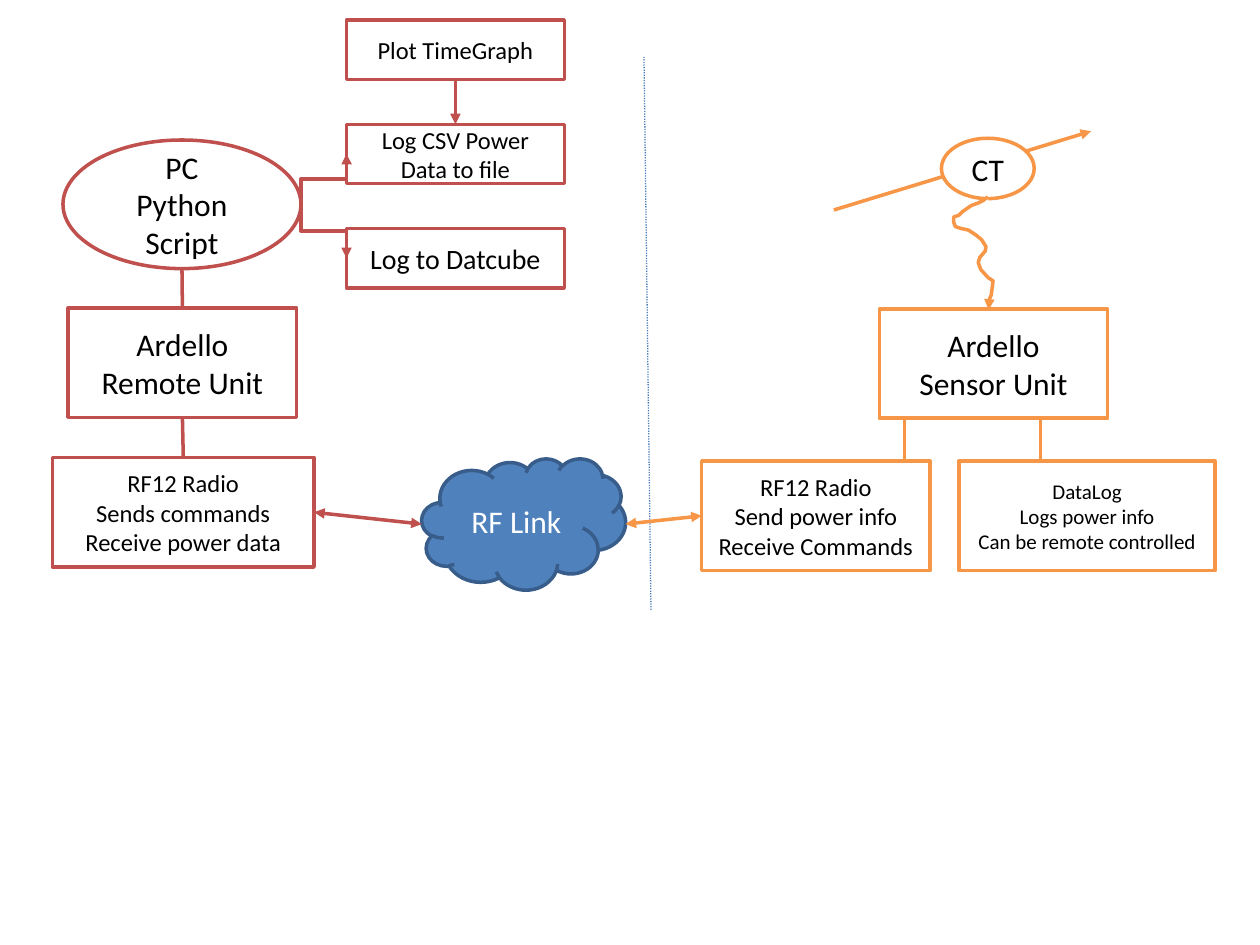
from dataclasses import dataclass

from pptx import Presentation
from pptx.dml.color import RGBColor
from pptx.enum.dml import MSO_LINE
from pptx.enum.shapes import MSO_CONNECTOR, MSO_SHAPE
from pptx.enum.text import MSO_ANCHOR, PP_ALIGN
from pptx.oxml.ns import qn
from pptx.util import Pt
from lxml.etree import SubElement


@dataclass(frozen=True)
class Theme:
    font: str = "Calibri"
    big: float = 18
    mid: float = 16
    small: float = 14
    tiny: float = 12
    weight: float = 2
    thin: float = 0.75
    red: str = "C0504D"
    orange: str = "F79646"
    blue: str = "4F81BD"
    navy: str = "385D8A"
    split: str = "4A7EBB"
    white: str = "FFFFFF"
    black: str = "000000"


def spot(shape, across, down):
    """Point on a shape, as fractions of its width and height."""
    return (int(shape.left + shape.width * across),
            int(shape.top + shape.height * down))


def top(shape):
    return spot(shape, 0.5, 0)


def base(shape):
    return spot(shape, 0.5, 1)


def left(shape):
    return spot(shape, 0, 0.5)


def right(shape):
    return spot(shape, 1, 0.5)


class Board:
    def __init__(self, slide, theme):
        self.slide = slide
        self.theme = theme

    def stroke(self, item, color, weight=None, ends=()):
        """Colour an outline; ends names the XML arrow ends to add."""
        item.line.color.rgb = RGBColor.from_string(color)
        item.line.width = Pt(weight or self.theme.weight)
        for end in ends:
            SubElement(item.line._get_or_add_ln(), qn(f"a:{end}"), type="triangle")

    def paint(self, shape, color):
        shape.shadow.inherit = False
        shape.fill.solid()
        shape.fill.fore_color.rgb = RGBColor.from_string(color)

    def node(self, text, place, size, edge, kind=MSO_SHAPE.RECTANGLE,
             fill=None, ink=None):
        theme = self.theme
        shape = self.slide.shapes.add_shape(kind, *map(Pt, place))
        self.paint(shape, fill or theme.white)
        self.stroke(shape, edge)
        frame = shape.text_frame
        frame.word_wrap = True
        frame.vertical_anchor = MSO_ANCHOR.MIDDLE
        frame.text = text
        for para in frame.paragraphs:
            para.alignment = PP_ALIGN.CENTER
            for run in para.runs:
                run.font.name = theme.font
                run.font.size = Pt(size)
                run.font.color.rgb = RGBColor.from_string(ink or theme.black)
        return shape

    def link(self, start, end, color, ends=(), kind=MSO_CONNECTOR.STRAIGHT,
             weight=None):
        line = self.slide.shapes.add_connector(kind, *start, *end)
        self.stroke(line, color, weight, ends)
        SubElement(line._element.spPr, qn("a:effectLst"))
        return line

    def elbow(self, start, end, color):
        return self.link(start, end, color, kind=MSO_CONNECTOR.ELBOW)

    def riser(self, start, end, color):
        """Elbow arrow that leaves vertically: drawn flat, then turned 90 degrees."""
        (x1, y1), (x2, y2) = start, end
        midx, midy = (x1 + x2) // 2, (y1 + y2) // 2
        dx, dy = (x2 - x1) // 2, (y2 - y1) // 2
        line = self.link((midx - dy, midy + dx), (midx + dy, midy - dx), color,
                         ["tailEnd"], MSO_CONNECTOR.ELBOW)
        line._element.spPr.find(qn("a:xfrm")).set("rot", "5400000")

    def wire(self, points, color):
        first, *rest = [(Pt(x), Pt(y)) for x, y in points]
        build = self.slide.shapes.build_freeform(*first)
        build.add_line_segments(rest, close=False)
        shape = build.convert_to_shape()
        self.paint(shape, self.theme.white)
        self.stroke(shape, color, ends=["tailEnd"])


def remote(board):
    """Draw the computer side and return its radio."""
    theme = board.theme
    red = theme.red
    script = board.node("PC\nPython Script", (36, 80, 136, 73.5), theme.big, red,
                        MSO_SHAPE.OVAL)
    unit = board.node("Ardello\nRemote Unit", (39, 176, 130.5, 62.5), theme.big, red)
    radio = board.node("RF12 Radio\nSends commands\nReceive power data",
                       (30, 261.5, 149.5, 62.5), theme.small, red)
    tasks = [("Plot TimeGraph", theme.small),
             ("Log CSV Power Data to file", theme.small),
             ("Log to Datcube", theme.mid)]
    plot, file, web = [
        board.node(text, (198, 11.5 + 59.5 * row, 124.5, 34), size, red)
        for row, (text, size) in enumerate(tasks)]
    for task in (file, web):
        board.riser(right(script), left(task), red)
    board.link(top(radio), base(unit), red)
    board.link(top(unit), base(script), red)
    board.link(base(plot), top(file), red, ["tailEnd"])
    return radio


def sensor(board):
    """Draw the metering side and return its radio."""
    theme = board.theme
    color = theme.orange
    unit = board.node("Ardello\nSensor Unit", (502.5, 176.5, 130.5, 62.5),
                      theme.big, color)
    radio = board.node("RF12 Radio\nSend power info\nReceive Commands",
                       (401, 263.5, 130.5, 62.5), theme.small, color)
    log = board.node("DataLog\nLogs power info\nCan be remote controlled",
                     (548, 263.5, 146.5, 62.5), theme.tiny, color)
    board.elbow(base(unit), top(radio), color)
    board.elbow(top(log), base(unit), color)
    board.link((Pt(476.5), Pt(120)), (Pt(623.5), Pt(75)), color, ["tailEnd"])
    board.node("CT", (538, 79, 53, 34.5), theme.big, color, MSO_SHAPE.OVAL)
    board.wire([(564.5, 112.5), (562, 114.5), (559, 116), (555, 117.5),
                (550, 121), (548, 123), (545, 124), (545, 127), (546, 129.5),
                (549, 130.5), (553.5, 131.5), (558, 134.5), (561, 137),
                (563.5, 141), (563, 143.5), (560, 147), (559, 150),
                (560.5, 154), (564.5, 158.5), (567.5, 160.5), (566.5, 168.5),
                (565, 172), (565, 177)], color)
    return radio


def main():
    deck = Presentation()
    deck.slide_width, deck.slide_height = Pt(720), Pt(540)
    theme = Theme()
    board = Board(deck.slides.add_slide(deck.slide_layouts[6]), theme)
    near = remote(board)
    far = sensor(board)
    split = board.link((Pt(372), Pt(348.5)), (Pt(368), Pt(32.5)), theme.split,
                       weight=theme.thin)
    split.line.dash_style = MSO_LINE.ROUND_DOT
    cloud = board.node("RF Link", (241, 262, 116.5, 75), theme.big, theme.navy,
                       MSO_SHAPE.CLOUD, theme.blue, theme.white)
    both = ["headEnd", "tailEnd"]
    board.link(right(near), left(cloud), theme.red, both)
    board.link(left(far), right(cloud), theme.orange, both)
    deck.save("out.pptx")


if __name__ == "__main__":
    main()
